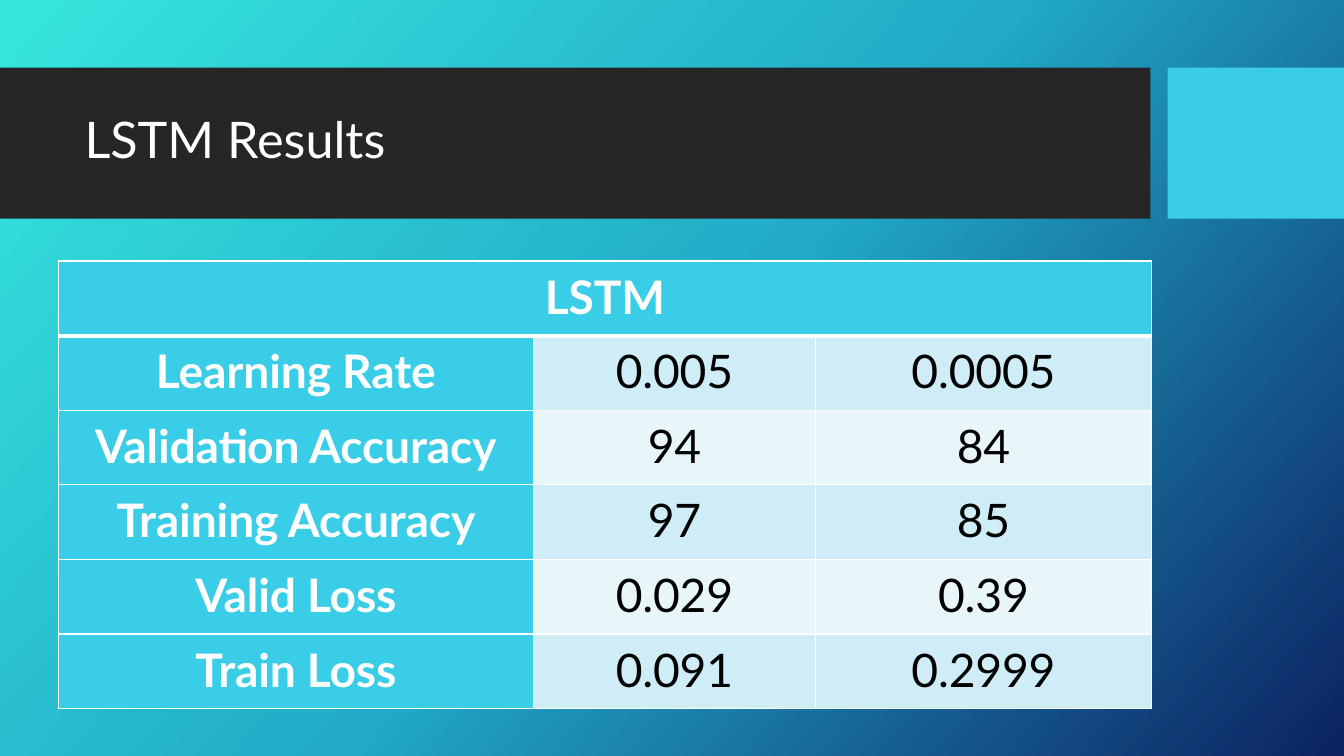
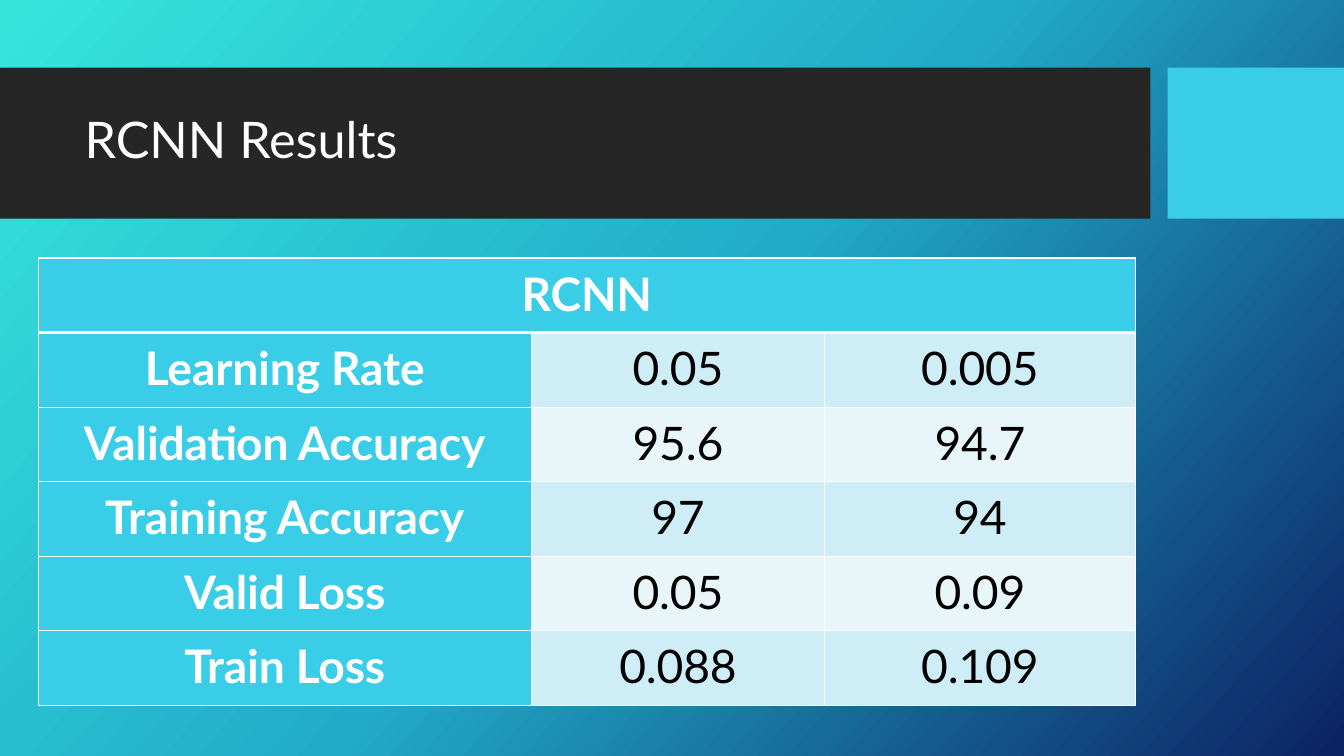
"""Build two slides of model results, each with a title band and a table."""
import copy
import lxml.etree
import pptx
import pptx.dml.color
import pptx.enum.shapes
import pptx.enum.text
import pptx.oxml.ns
import pptx.util

Inches, Pt = pptx.util.Inches, pptx.util.Pt
RGB = pptx.dml.color.RGBColor.from_string
qn = pptx.oxml.ns.qn
MIDDLE = pptx.enum.text.MSO_ANCHOR.MIDDLE

COLORS = {
    "bg_start": "36E6DD", "bg_middle": "21ABC8", "bg_end": "0C2263",
    "band": "262626", "accent": "39CDE7", "row_dark": "CEEDF6",
    "row_light": "E8F6FA", "white": "FFFFFF", "black": "000000",
}
FONT = "Lato"
BANDS = [(0, 11.41, "band"), (11.58, 1.75, "accent")]
ROW_HEIGHT = 0.74
LABELS = ["Learning Rate", "Validation Accuracy", "Training Accuracy",
          "Valid Loss", "Train Loss"]
RESULTS = [
    {"model": "LSTM", "left": 0.58, "top": 2.59, "cols": [4.71, 2.8, 3.33],
     "values": [("0.005", "0.0005"), ("94", "84"), ("97", "85"),
                ("0.029", "0.39"), ("0.091", "0.2999")]},
    {"model": "RCNN", "left": 0.38, "top": 2.56, "cols": [4.89, 2.91, 3.08],
     "values": [("0.05", "0.005"), ("95.6", "94.7"), ("97", "94"),
                ("0.05", "0.09"), ("0.088", "0.109")]},
]


def style_text(p, size, color, spacing, bold=False):
    p.line_spacing = spacing
    p.font.name = FONT
    p.font.size = Pt(size)
    p.font.bold = bold
    p.font.color.rgb = RGB(COLORS[color])


def add_border(cell, side, width):
    ln = lxml.etree.SubElement(cell._tc.get_or_add_tcPr(), qn("a:" + side), w=str(Pt(width)))
    fill = lxml.etree.SubElement(ln, qn("a:solidFill"))
    lxml.etree.SubElement(fill, qn("a:srgbClr"), val=COLORS["white"])


prs = pptx.Presentation()
prs.slide_width, prs.slide_height = Inches(13.33), Inches(7.5)

bg = prs.slide_master.background.fill
bg.gradient()
bg.gradient_angle = 360 - 42
stops = next(prs.slide_master.background._cSld.iter(qn("a:gsLst")))
stops.insert(1, copy.deepcopy(stops[0]))
for stop, name, pos in zip(bg.gradient_stops, ["bg_start", "bg_middle", "bg_end"], [0, 0.5, 1]):
    stop.color.rgb = RGB(COLORS[name])
    stop.position = pos

for result in RESULTS:
    s = prs.slides.add_slide(prs.slide_layouts[6])

    for left, width, color in BANDS:
        sp = s.shapes.add_shape(pptx.enum.shapes.MSO_SHAPE.RECTANGLE,
                                Inches(left), Inches(0.67), Inches(width), Inches(1.5))
        sp.shadow.inherit = False
        sp.fill.solid()
        sp.fill.fore_color.rgb = RGB(COLORS[color])
        sp.line.fill.background()

    title = s.shapes.add_textbox(Inches(0.74), Inches(0.82), Inches(10.51), Inches(1.18))
    tf = title.text_frame
    tf.word_wrap = True
    tf.vertical_anchor = MIDDLE
    tf.text = f"{result['model']} Results"
    style_text(tf.paragraphs[0], 36, "white", 0.9)

    rows = [(result["model"], "", "")]
    rows += [(label, *values) for label, values in zip(LABELS, result["values"])]
    table = s.shapes.add_table(len(rows), 3, Inches(result["left"]), Inches(result["top"]),
                               Inches(sum(result["cols"])),
                               Inches(ROW_HEIGHT * len(rows))).table
    for column, width in zip(table.columns, result["cols"]):
        column.width = Inches(width)
    table.cell(0, 0).merge(table.cell(0, 2))

    for i, row in enumerate(rows):
        table.rows[i].height = Inches(ROW_HEIGHT)
        for j, text in enumerate(row):
            cell = table.cell(i, j)
            heading = i == 0 or j == 0
            add_border(cell, "lnL", 1)
            add_border(cell, "lnR", 1)
            add_border(cell, "lnT", 3 if i == 1 else 1)
            add_border(cell, "lnB", 3 if i == 0 else 1)
            cell.fill.solid()
            body = "row_dark" if i % 2 else "row_light"
            cell.fill.fore_color.rgb = RGB(COLORS["accent" if heading else body])
            cell.vertical_anchor = MIDDLE
            cell.margin_left = cell.margin_right = Inches(0.25)
            cell.margin_top = cell.margin_bottom = 0
            if cell.is_spanned:
                continue
            cell.text = text
            p = cell.text_frame.paragraphs[0]
            p.alignment = pptx.enum.text.PP_ALIGN.CENTER
            p.space_after = Pt(6)
            style_text(p, 33, "white" if heading else "black", 0.95, heading)
            p.font._rPr.set("spc", "-10")

prs.save("out.pptx")
